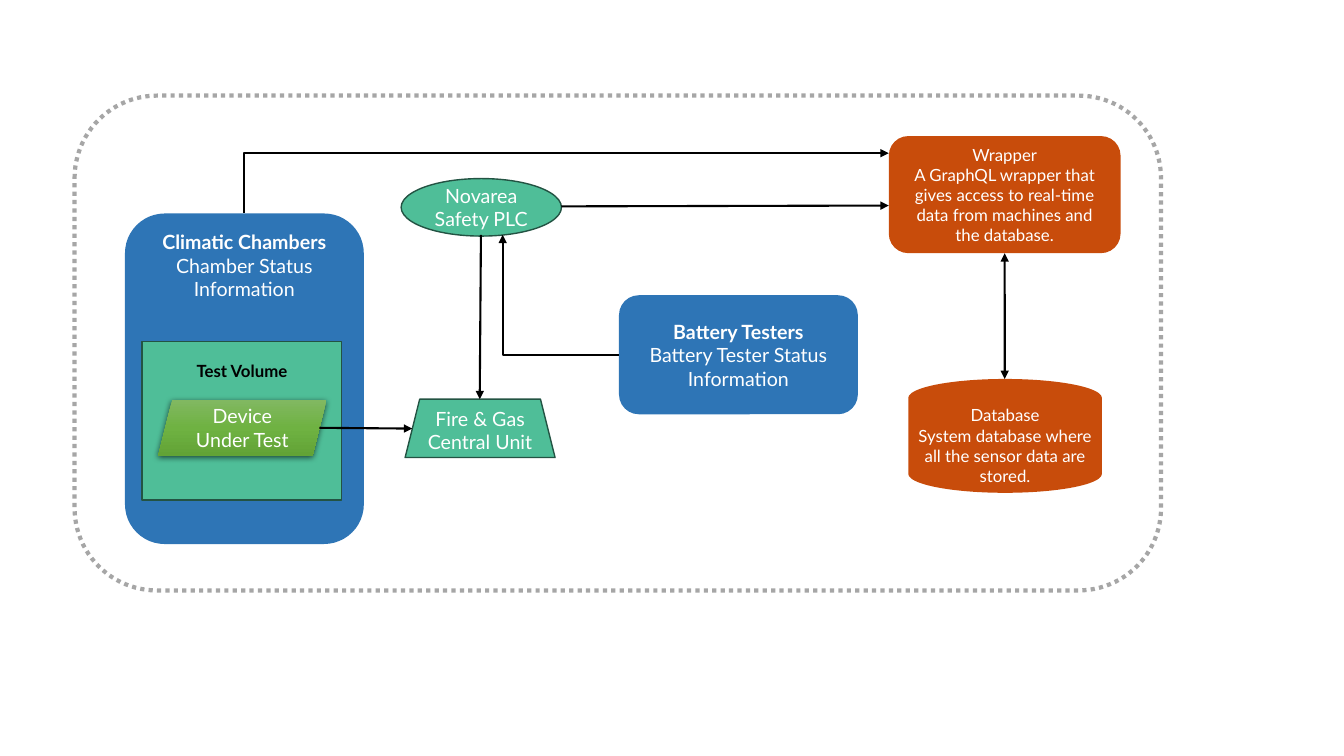
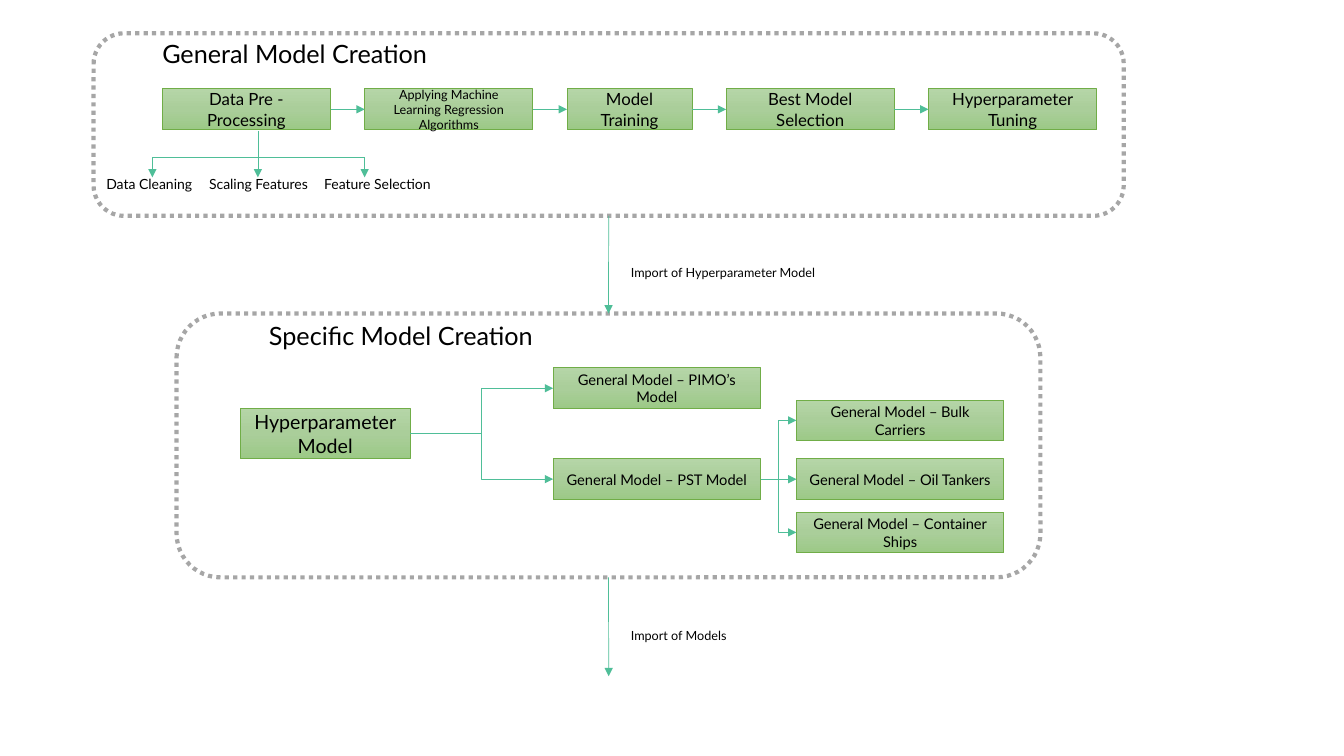
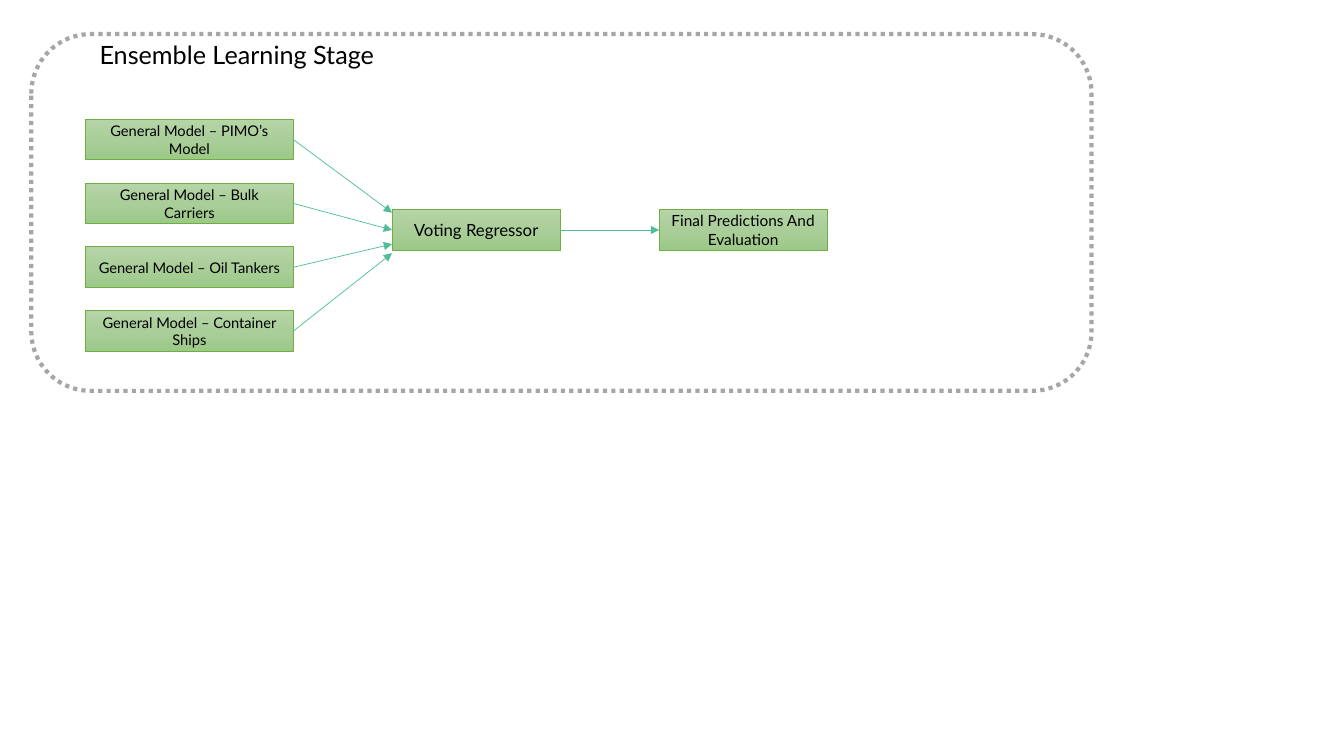
from dataclasses import dataclass

from lxml.etree import SubElement
from pptx import Presentation
from pptx.dml.color import RGBColor
from pptx.enum.dml import MSO_LINE
from pptx.enum.shapes import MSO_CONNECTOR, MSO_SHAPE
from pptx.enum.text import MSO_ANCHOR, PP_ALIGN
from pptx.oxml.ns import qn
from pptx.util import Cm, Pt

TOP, LEFT, BOTTOM, RIGHT = range(4)


@dataclass(frozen=True)
class Theme:
    font: str = "Lato"
    black: str = "000000"
    white: str = "FFFFFF"
    gray: str = "A6A6A6"
    mint: str = "4FBE98"
    pine: str = "235343"
    blue: str = "2E75B6"
    orange: str = "C84C0B"
    leaf: str = "70AD47"
    step_gradient: tuple = ("B5D5A7", "AACE9A", "9CC987")
    device_gradient: tuple = ("81B861", "6FB242", "62A336")
    title: float = 18
    large: float = 14
    medium: float = 12
    result: float = 11
    model: float = 10.5
    label: float = 10
    small: float = 9
    hairline: float = 0.5
    outline: float = 1
    flow: float = 1.5
    dots: float = 3


class Diagram:
    def __init__(self, theme):
        self.theme = theme
        self.presentation = Presentation()
        self.presentation.slide_width = Cm(33.87)
        self.presentation.slide_height = Cm(19.05)
        self.slide = None

    def new_slide(self):
        self.slide = self.presentation.slides.add_slide(self.presentation.slide_layouts[6])

    def add_lines(self, shape, lines, size, color, bold_first=False, align=PP_ALIGN.CENTER):
        frame = shape.text_frame
        frame.word_wrap = True
        for index, line in enumerate(lines):
            paragraph = frame.add_paragraph() if index else frame.paragraphs[0]
            paragraph.alignment = align
            run = paragraph.add_run()
            run.text = line
            run.font.name = self.theme.font
            run.font.size = Pt(size)
            run.font.bold = bold_first and index == 0
            run.font.color.rgb = RGBColor.from_string(color)

    def block(self, kind, box, fill=None, line=None, width=1, lines=(), size=12,
              color=None, bold_first=False, anchor=MSO_ANCHOR.MIDDLE):
        shape = self.slide.shapes.add_shape(kind, *map(Cm, box))
        shape.shadow.inherit = False
        if fill is None:
            shape.fill.background()
        elif isinstance(fill, tuple):
            self.gradient(shape, fill)
        else:
            shape.fill.solid()
            shape.fill.fore_color.rgb = RGBColor.from_string(fill)
        if line is None:
            shape.line.fill.background()
        else:
            shape.line.color.rgb = RGBColor.from_string(line)
            shape.line.width = Pt(width)
        shape.text_frame.vertical_anchor = anchor
        self.add_lines(shape, lines, size, color or self.theme.white, bold_first)
        return shape

    def gradient(self, shape, colors):
        shape.fill.gradient()
        shape.fill.gradient_angle = 270
        stops = shape._element.spPr.find(".//" + qn("a:gsLst"))
        for stop in list(stops):
            stops.remove(stop)
        for position, color in zip((0, 50000, 100000), colors):
            stop = SubElement(stops, qn("a:gs"), pos=str(position))
            SubElement(stop, qn("a:srgbClr"), val=color)

    def drop_shadow(self, shape):
        effects = shape._element.spPr.find(qn("a:effectLst"))
        shadow = SubElement(effects, qn("a:outerShdw"), blurRad=str(Pt(4.5)),
                            dist=str(Pt(1.5)), dir="5400000", algn="ctr", rotWithShape="0")
        color = SubElement(shadow, qn("a:srgbClr"), val=self.theme.black)
        SubElement(color, qn("a:alpha"), val="63000")

    def dotted_frame(self, *box):
        shape = self.block(MSO_SHAPE.ROUNDED_RECTANGLE, box, line=self.theme.gray,
                           width=self.theme.dots)
        shape.line.dash_style = MSO_LINE.ROUND_DOT
        return shape

    def step(self, text, left, top, width=4.24, height=1.03, size=None):
        return self.block(MSO_SHAPE.RECTANGLE, (left, top, width, height),
                          self.theme.step_gradient, self.theme.leaf, self.theme.hairline,
                          [text], size or self.theme.medium, self.theme.black)

    def model(self, name, left, top):
        return self.step(f"General Model – {name}", left, top, 5.23, size=self.theme.model)

    def label(self, text, box, size, bold=False, align=PP_ALIGN.LEFT):
        shape = self.slide.shapes.add_textbox(*map(Cm, box))
        self.add_lines(shape, [text], size, self.theme.black, bold, align)

    def title(self, text, left, top):
        self.label(text, (left, top, 9.27, 1.02), self.theme.title)

    def connect(self, start, end, color=None, width=None, head=False, tail=True, bend=None):
        kind = MSO_CONNECTOR.ELBOW if bend else MSO_CONNECTOR.STRAIGHT
        points = [target if isinstance(target[0], (int, float)) else (0, 0)
                  for target in (start, end)]
        line = self.slide.shapes.add_connector(kind, *map(Cm, points[0] + points[1]))
        for target, join in ((start, line.begin_connect), (end, line.end_connect)):
            if not isinstance(target[0], (int, float)):
                join(*target)
        line.line.color.rgb = RGBColor.from_string(color or self.theme.mint)
        line.line.width = Pt(width or self.theme.hairline)
        properties = line._element.spPr
        if bend:
            properties.find(qn("a:prstGeom")).set("prst", bend)
        outline = properties.find(qn("a:ln"))
        for wanted, tag in ((head, "a:headEnd"), (tail, "a:tailEnd")):
            if wanted:
                SubElement(outline, qn(tag), type="triangle")
        SubElement(properties, qn("a:effectLst"))

    def flow(self, start, end, **options):
        self.connect(start, end, self.theme.black, self.theme.flow, **options)

    def branch(self, start, end):
        self.connect((start, RIGHT), (end, LEFT), bend="bentConnector3")


def build_monitoring(diagram):
    theme = diagram.theme
    diagram.new_slide()
    diagram.block(MSO_SHAPE.OVAL, (10.11, 4.5, 4.04, 1.45), theme.mint, theme.pine,
                  theme.outline, ["Novarea Safety PLC"], theme.large)
    diagram.block(MSO_SHAPE.TRAPEZOID, (10.21, 10.06, 3.78, 1.47), theme.mint, theme.pine,
                  theme.outline, ["Fire & Gas Central Unit"], theme.large)
    wrapper = diagram.block(
        MSO_SHAPE.ROUNDED_RECTANGLE, (22.4, 3.43, 5.84, 2.95), theme.orange,
        lines=["Wrapper", "A GraphQL wrapper that gives access to real-time data "
               "from machines and the database."], size=theme.medium)
    diagram.block(
        MSO_SHAPE.FLOWCHART_MAGNETIC_DISK, (22.89, 9.55, 4.88, 2.87), theme.orange,
        lines=["Database", "System database where all the sensor data are stored."],
        size=theme.medium)
    diagram.dotted_frame(1.88, 2.41, 27.38, 12.47)
    testers = diagram.block(
        MSO_SHAPE.ROUNDED_RECTANGLE, (15.6, 7.44, 6.02, 3), theme.blue,
        lines=["Battery Testers", "Battery Tester Status Information"],
        size=theme.large, bold_first=True)
    chambers = diagram.block(
        MSO_SHAPE.ROUNDED_RECTANGLE, (3.15, 5.38, 6.02, 8.33), theme.blue,
        lines=["Climatic Chambers", "Chamber Status Information"],
        size=theme.large, bold_first=True, anchor=MSO_ANCHOR.TOP)
    diagram.block(MSO_SHAPE.RECTANGLE, (3.58, 8.61, 5.03, 3.99), theme.mint, theme.pine,
                  theme.outline)
    device = diagram.block(MSO_SHAPE.PARALLELOGRAM, (3.99, 10.08, 4.24, 1.4),
                           theme.device_gradient, lines=["Device Under Test"],
                           size=theme.large)
    diagram.drop_shadow(device)
    diagram.label("Test Volume", (4.55, 8.97, 3.1, 0.76), theme.medium, True,
                  PP_ALIGN.CENTER)
    diagram.flow((12.12, 5.92), (12.09, 10.06))
    diagram.flow((8.05, 10.78), (10.39, 10.8))
    diagram.flow((wrapper, BOTTOM), (25.32, 9.55), head=True)
    diagram.flow((testers, LEFT), (12.67, 5.92), bend="bentConnector2")
    diagram.flow((22.4, 3.86), (chambers, TOP), head=True, tail=False,
                 bend="bentConnector2")
    diagram.flow((14.15, 5.2), (22.4, 5.18))


def build_models(diagram):
    theme = diagram.theme
    diagram.new_slide()
    general = diagram.dotted_frame(2.36, 0.84, 25.96, 4.6)
    diagram.title("General Model Creation", 3.84, 0.84)
    left, previous = 4.09, None
    for text, width, size in (
        ("Data Pre - Processing", 4.24, theme.medium),
        ("Applying Machine Learning Regression Algorithms", 4.24, theme.small),
        ("Model Training", 3.15, theme.medium),
        ("Best Model Selection", 4.24, theme.medium),
        ("Hyperparameter Tuning", 4.24, theme.medium),
    ):
        step = diagram.step(text, left, 2.24, width, size=size)
        if previous:
            diagram.connect((previous, RIGHT), (step, LEFT))
        left, previous = left + width + 0.86, step

    diagram.connect((6.5, 3.3), (6.5, 3.96), tail=False)
    diagram.connect((3.84, 3.96), (9.19, 3.96), tail=False)
    for text, drop, label_left in (("Data Cleaning", 3.84, 2.43),
                                   ("Scaling Features", 6.5, 5.02),
                                   ("Feature Selection", 9.19, 7.92)):
        diagram.connect((drop, 3.96), (drop, 4.47))
        diagram.label(text, (label_left, 4.29, 4.04, 0.71), theme.label)

    specific = diagram.dotted_frame(4.45, 7.9, 21.77, 6.65)
    diagram.title("Specific Model Creation", 6.53, 7.95)
    tuned = diagram.step("Hyperparameter Model", 6.05, 10.29, 4.29, 1.27, theme.large)
    for name, top in (("PIMO’s Model", 9.27), ("PST Model", 11.56)):
        source = diagram.model(name, 13.94, top)
        diagram.branch(tuned, source)
    for name, top in (("Bulk Carriers", 10.08), ("Container Ships", 12.9)):
        diagram.branch(source, diagram.model(name, 20.07, top))
    tankers = diagram.model("Oil Tankers", 20.07, 11.56)
    diagram.connect((source, RIGHT), (tankers, LEFT))

    diagram.connect((general, BOTTOM), (specific, TOP))
    diagram.connect((specific, BOTTOM), (15.34, 17.04))
    for text, top in (("Import of Hyperparameter Model", 6.55), ("Import of Models", 15.7)):
        diagram.label(text, (15.65, top, 5.16, 0.64), theme.small)


def build_ensemble(diagram):
    diagram.new_slide()
    diagram.dotted_frame(0.79, 0.86, 26.72, 8.99)
    diagram.title("Ensemble Learning Stage", 2.26, 0.86)
    regressor = diagram.step("Voting Regressor", 9.88, 5.28)
    result = diagram.step("Final Predictions And Evaluation", 16.61, 5.28,
                          size=diagram.theme.result)
    targets = (
        ("PIMO’s Model", (9.88, 5.36)),
        ("Bulk Carriers", (regressor, LEFT)),
        ("Oil Tankers", (9.88, 6.15)),
        ("Container Ships", (9.88, 6.38)),
    )
    for row, (name, target) in enumerate(targets):
        model = diagram.model(name, 2.16, 3 + row * 1.61)
        diagram.connect((model, RIGHT), target)
    diagram.connect((regressor, RIGHT), (result, LEFT))


def main():
    diagram = Diagram(Theme())
    build_monitoring(diagram)
    build_models(diagram)
    build_ensemble(diagram)
    diagram.presentation.save("out.pptx")


if __name__ == "__main__":
    main()
